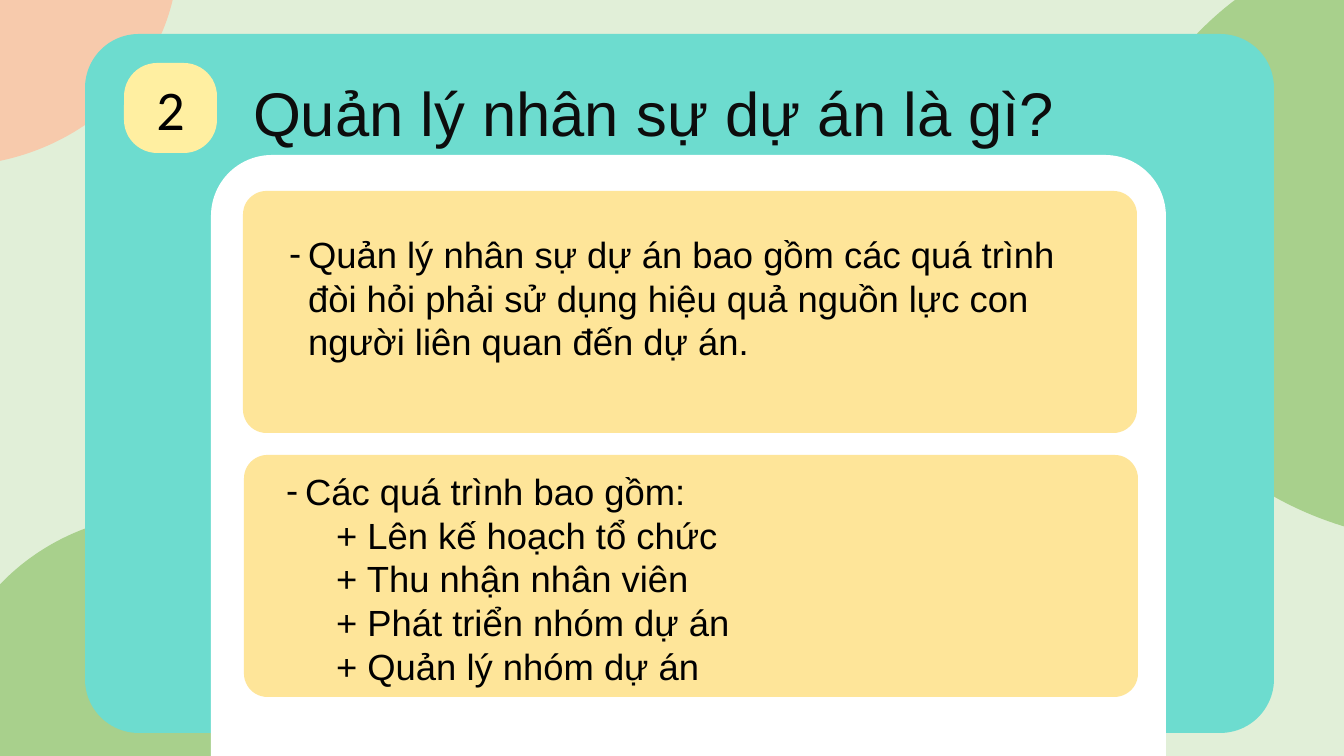
from dataclasses import dataclass

from lxml import etree
from pptx import Presentation
from pptx import util as u
from pptx.dml.color import RGBColor
from pptx.enum import shapes, text
from pptx.oxml.ns import qn

PX = 914400 / 100.8  # EMU in one px


def px(n):
    return u.Emu(round(n * PX))


@dataclass(frozen=True)
class Theme:
    background: str = "E1EFD8"
    peach: str = "F7CAAC"
    green: str = "A8D08C"
    teal: str = "6DDCCF"
    white: str = "FFFFFF"
    box: str = "FEE599"
    badge: str = "FFEFA1"
    ink: str = "000000"
    title_ink: str = "0D0D0D"
    font: str = "Arial"
    badge_font: str = "Calibri"
    title_size: int = 44
    badge_size: int = 40
    body_size: int = 26


class SlideBuilder:
    def __init__(self, slide, theme):
        self.s = slide
        self.theme = theme
        fill = slide.background.fill
        fill.solid()
        fill.fore_color.rgb = RGBColor.from_string(theme.background)

    def shape(self, kind, box, color, radius=None):
        sp = self.s.shapes.add_shape(kind, *map(px, box))
        sp.shadow.inherit = False
        sp.fill.solid()
        sp.fill.fore_color.rgb = RGBColor.from_string(color)
        sp.line.fill.background()
        if radius is not None:
            sp.adjustments[0] = radius
        return sp

    def ellipse(self, box, color):
        return self.shape(shapes.MSO_SHAPE.OVAL, box, color)

    def panel(self, box, color, radius):
        return self.shape(shapes.MSO_SHAPE.ROUNDED_RECTANGLE, box, color, radius)

    def format(self, p, size, color, font, align=text.PP_ALIGN.LEFT):
        p.alignment = align
        for r in p.runs:
            r.font.size = u.Pt(size)
            r.font.name = font
            r.font.color.rgb = RGBColor.from_string(color)

    def badge(self, box, label):
        t = self.theme
        sp = self.panel(box, t.badge, 0.369)
        tf = sp.text_frame
        tf.text = label
        tf.vertical_anchor = text.MSO_ANCHOR.MIDDLE
        self.format(tf.paragraphs[0], t.badge_size, t.ink, t.badge_font,
                    text.PP_ALIGN.CENTER)

    def placeholder(self, idx, box):
        """Place a template placeholder in front of the shapes drawn so far."""
        sp = self.s.placeholders[idx]
        sp.left, sp.top, sp.width, sp.height = map(px, box)
        sp.element.getparent().append(sp.element)
        tf = sp.text_frame
        tf.word_wrap = True
        tf.auto_size = text.MSO_AUTO_SIZE.NONE
        tf.vertical_anchor = text.MSO_ANCHOR.TOP
        return tf

    def title(self, box, words):
        t = self.theme
        tf = self.placeholder(0, box)
        tf.text = words
        p = tf.paragraphs[0]
        p.line_spacing = 1.15
        p.space_after = u.Pt(10)
        self.format(p, t.title_size, t.title_ink, t.font)

    def bullets(self, idx, box, lead, items=()):
        """A dashed lead line followed by indented lines without bullets."""
        t = self.theme
        tf = self.placeholder(idx, box)
        tf.text = "\n".join([lead, *items])
        for i, p in enumerate(tf.paragraphs):
            p.space_before = u.Pt(0)
            self.format(p, t.body_size, t.ink, t.font)
            pPr = p._p.get_or_add_pPr()
            margin, indent = (50, 0) if i else (19, -19)
            pPr.set("marL", str(px(margin)))
            pPr.set("indent", str(px(indent)))
            if i:
                etree.SubElement(pPr, qn("a:buNone"))
            else:
                clr = etree.SubElement(pPr, qn("a:buClr"))
                etree.SubElement(clr, qn("a:srgbClr")).set("val", t.ink)
                etree.SubElement(pPr, qn("a:buChar")).set("char", "-")


def main():
    prs = Presentation()
    prs.slide_width, prs.slide_height = px(1344), px(756)
    theme = Theme()
    two_content = prs.slide_layouts[3]
    b = SlideBuilder(prs.slides.add_slide(two_content), theme)

    # Background circles
    b.ellipse((-278, -257, 456, 423), theme.peach)
    b.ellipse((1114, -71, 672, 613), theme.green)
    b.ellipse((-57, 513, 456, 422), theme.green)

    # Card and the sheet on it
    b.panel((85, 34, 1189, 699), theme.teal, 0.077)
    b.panel((211, 155, 955, 883), theme.white, 0.069)

    # Definition
    b.panel((243, 191, 894, 242), theme.box, 0.097)
    b.bullets(1, (279, 227, 818, 142),
              "Quản lý nhân sự dự án bao gồm các quá trình đòi hỏi phải "
              "sử dụng hiệu quả nguồn lực con người liên quan đến dự án.")

    # Processes
    b.panel((244, 455, 894, 242), theme.box, 0.097)
    b.bullets(2, (276, 464, 701, 231), "Các quá trình bao gồm:", [
        "+ Lên kế hoạch tổ chức",
        "+ Thu nhận nhân viên",
        "+ Phát triển nhóm dự án",
        "+ Quản lý nhóm dự án",
    ])

    # Heading
    b.badge((124, 63, 93, 90), "2")
    b.title((243, 59, 872, 110), "Quản lý nhân sự dự án là gì?")

    prs.save("out.pptx")


if __name__ == "__main__":
    main()
